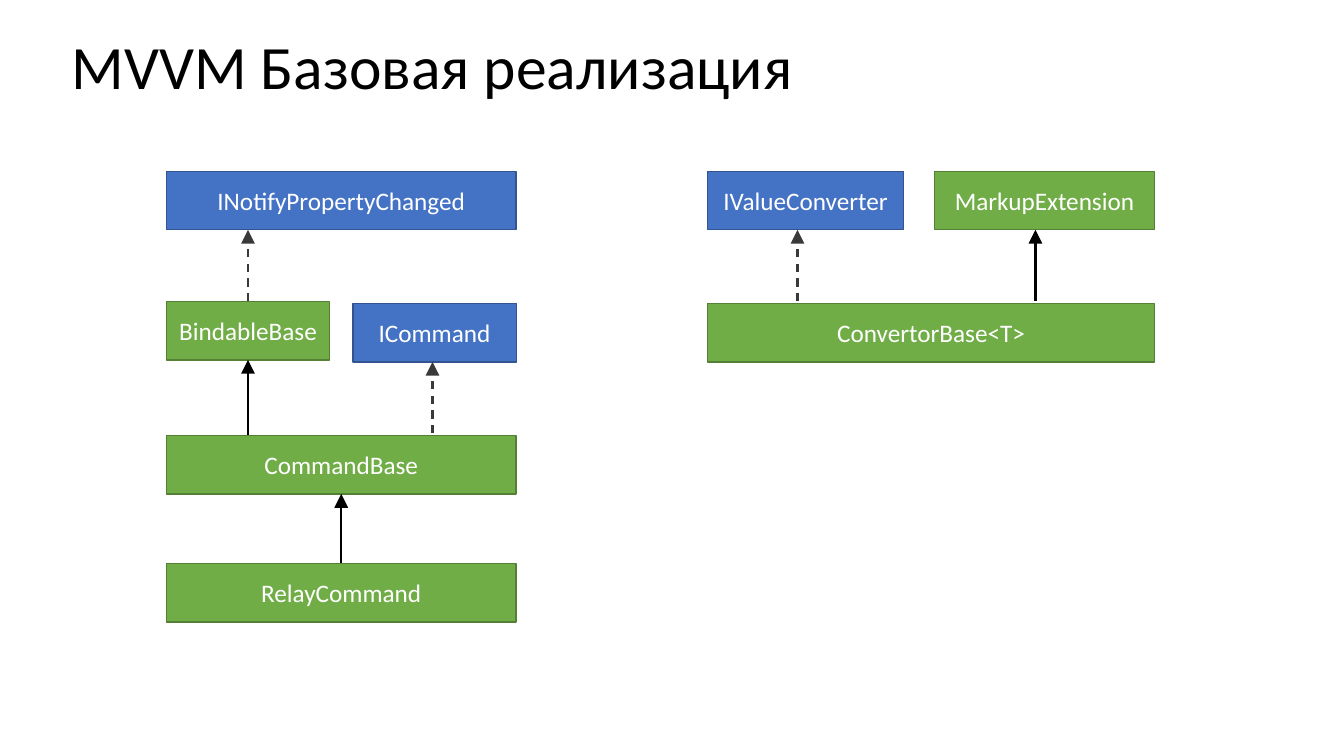
"""Build a class diagram slide of a basic MVVM implementation."""
from pptx import Presentation
from pptx.dml.color import RGBColor
from pptx.enum import dml, shapes, text
from pptx.oxml.ns import qn
from pptx.util import Inches, Pt
from lxml import etree

TITLE = "MVVM Базовая реализация"
FONT = "Calibri"
BOX_HEIGHT = 0.58
LOOSE_GAP = 0.02
STYLES = {"interface": ("4472C4", "325491"), "class": ("70AD47", "538035")}
BOXES = {
    "MarkupExtension": ("class", 9.27, 1.7, 2.18),
    "IValueConverter": ("interface", 7.02, 1.7, 1.94),
    "ConvertorBase<T>": ("class", 7.02, 3.01, 4.43),
    "INotifyPropertyChanged": ("interface", 1.65, 1.7, 3.47),
    "BindableBase": ("class", 1.65, 2.99, 1.62),
    "ICommand": ("interface", 3.5, 3.01, 1.62),
    "CommandBase": ("class", 1.65, 4.32, 3.47),
    "RelayCommand": ("class", 1.65, 5.59, 3.47),
}
CENTER = {name: left + width / 2 for name, (_, left, _, width) in BOXES.items()}
LINKS = [
    ("ConvertorBase<T>", "IValueConverter", 7.91),
    ("ConvertorBase<T>", "MarkupExtension", 10.27),
    ("BindableBase", "INotifyPropertyChanged", CENTER["BindableBase"]),
    ("RelayCommand", "CommandBase", CENTER["CommandBase"]),
    ("CommandBase", "ICommand", 4.29),
    ("CommandBase", "BindableBase", CENTER["BindableBase"]),
]


def color(value):
    return RGBColor.from_string(value)


def write(shape, words, size, ink, align):
    frame = shape.text_frame
    frame.text = words
    frame.word_wrap = True
    frame.vertical_anchor = text.MSO_ANCHOR.MIDDLE
    paragraph = frame.paragraphs[0]
    paragraph.alignment = align
    font = paragraph.runs[0].font
    font.name, font.size = FONT, Pt(size)
    font.color.rgb = color(ink)
    return paragraph


def add_box(slide, name):
    kind, left, top, width = BOXES[name]
    fill, border = STYLES[kind]
    shape = slide.shapes.add_shape(
        shapes.MSO_SHAPE.RECTANGLE,
        *map(Inches, (left, top, width, BOX_HEIGHT)))
    shape.shadow.inherit = False
    shape.fill.solid()
    shape.fill.fore_color.rgb = color(fill)
    shape.line.color.rgb = color(border)
    shape.line.width = Pt(1)
    write(shape, name, 18, "FFFFFF", text.PP_ALIGN.CENTER)
    return shape


def add_link(slide, boxes, child, parent, x):
    joined = x in (CENTER[child], CENTER[parent])
    start = BOXES[child][2] - (0 if joined else LOOSE_GAP)
    end = BOXES[parent][2] + BOX_HEIGHT
    link = slide.shapes.add_connector(
        shapes.MSO_CONNECTOR.STRAIGHT, *map(Inches, (x, start, x, end)))
    if x == CENTER[child]:
        link.begin_connect(boxes[child], 0)
    if x == CENTER[parent]:
        link.end_connect(boxes[parent], 2)
    implements = BOXES[parent][0] == "interface"
    link.line.color.rgb = color("3B3838" if implements else "000000")
    link.line.width = Pt(1.5)
    if implements:
        link.line.dash_style = dml.MSO_LINE.DASH
    properties = link._element.spPr
    etree.SubElement(properties.find(qn("a:ln")), qn("a:tailEnd"),
                     type="triangle", w="lg", len="lg")
    etree.SubElement(properties, qn("a:effectLst"))


def main():
    presentation = Presentation()
    presentation.slide_width, presentation.slide_height = Inches(13.33), Inches(7.5)
    slide = presentation.slides.add_slide(presentation.slide_layouts[6])
    title = slide.shapes.add_textbox(*map(Inches, (0.61, 0.21, 11.5, 0.97)))
    write(title, TITLE, 44, "000000", text.PP_ALIGN.LEFT).line_spacing = 0.9
    boxes = {name: add_box(slide, name) for name in BOXES}
    for link in LINKS:
        add_link(slide, boxes, *link)
    presentation.save("out.pptx")


if __name__ == "__main__":
    main()
